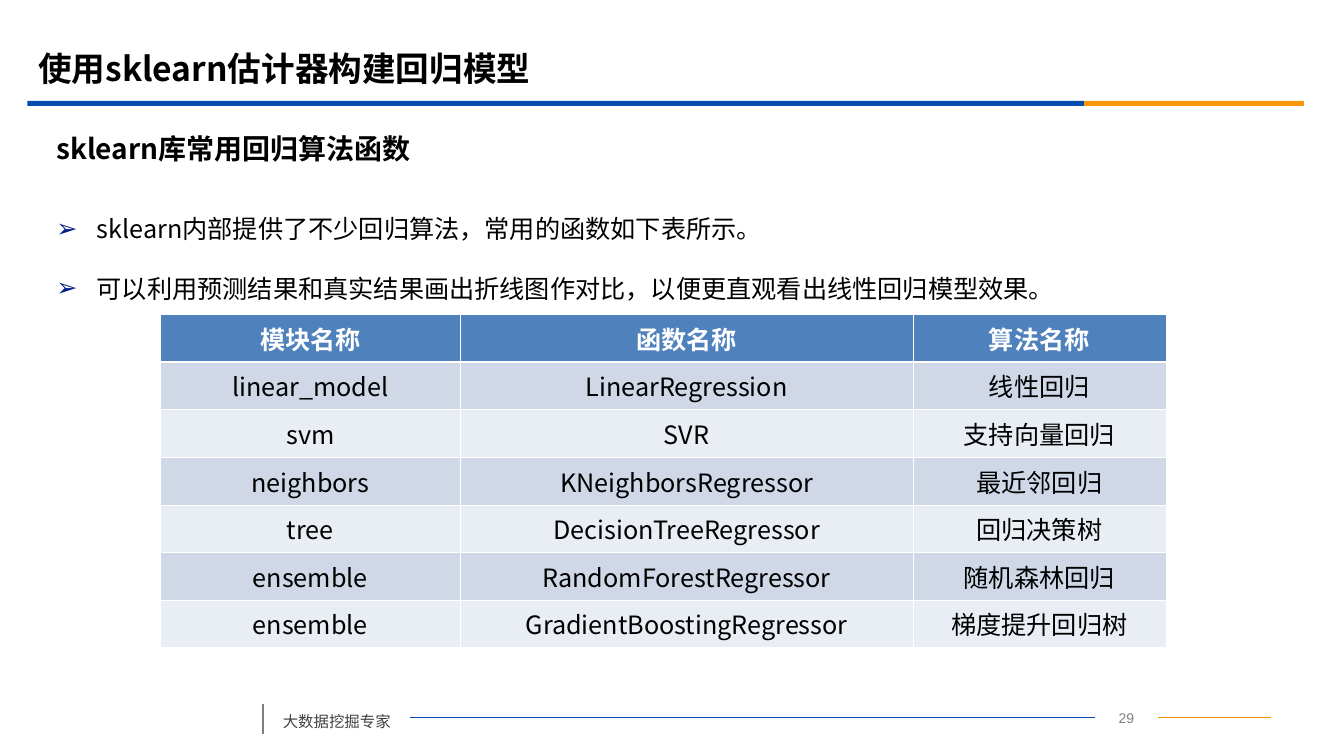
from typing import NamedTuple

from lxml.etree import SubElement as Sub
from pptx import Presentation
from pptx.dml.color import RGBColor
from pptx.enum.shapes import MSO_CONNECTOR as Link, MSO_SHAPE as Kind
from pptx.enum.text import MSO_ANCHOR as Anchor, MSO_AUTO_SIZE as Fit, PP_ALIGN as Align
from pptx.oxml.ns import qn
from pptx.util import Cm, Pt

SANS = "Noto Sans CJK SC"
BLUE, GOLD, GREY, BLACK, WHITE = "064BB2", "F19500", "7F7F7F", "000000", "FFFFFF"


class Box(NamedTuple):
    """Place on the slide in centimetres."""
    x: float
    y: float
    w: float
    h: float

    def emu(self) -> list:
        return [Cm(v) for v in self]


class Bar(NamedTuple):
    box: Box
    color: str


class Rule(NamedTuple):
    start: tuple
    end: tuple
    color: str
    width: float
    head: object = None
    tail: object = None


BARS = [Bar(Box(0.69, 2.54, 26.64, 0.13), BLUE),
        Bar(Box(27.33, 2.54, 5.54, 0.13), "FB9708")]
POINTS = ["sklearn内部提供了不少回归算法，常用的函数如下表所示。",
          "可以利用预测结果和真实结果画出折线图作对比，以便更直观看出线性回归模型效果。"]
ROWS = [("模块名称", "函数名称", "算法名称"),
        ("linear_model", "LinearRegression", "线性回归"),
        ("svm", "SVR", "支持向量回归"),
        ("neighbors", "KNeighborsRegressor", "最近邻回归"),
        ("tree", "DecisionTreeRegressor", "回归决策树"),
        ("ensemble", "RandomForestRegressor", "随机森林回归"),
        ("ensemble", "GradientBoostingRegressor", "梯度提升回归树")]
WIDTHS = [7.57, 11.4, 6.38]
ROW_H = 1.2


def rgb(code: str) -> RGBColor:
    return RGBColor.from_string(code)


def add_bullet(para) -> None:
    props = para._p.get_or_add_pPr()
    props.set("marL", str(Cm(1.02)))
    props.set("indent", str(-Cm(1.02)))
    Sub(Sub(props, qn("a:buClr")), qn("a:srgbClr"), val="032089")
    Sub(props, qn("a:buFont"), typeface="Arial")
    Sub(props, qn("a:buChar"), char="➢")


def write(frame, *lines: str, size: float, color: str = BLACK, bold: bool = False,
          font: str = SANS, align=Align.LEFT, anchor=Anchor.TOP,
          spacing: float = 1, before: float = 0, bullet: bool = False) -> None:
    frame.word_wrap = True
    frame.vertical_anchor = anchor
    for i, line in enumerate(lines):
        para = frame.add_paragraph() if i else frame.paragraphs[0]
        para.alignment = align
        para.line_spacing = spacing
        para.space_before = Pt(before if i else 0)
        if bullet:
            add_bullet(para)
        run = para.add_run()
        run.text = line
        face = run.font
        face.size, face.bold, face.name = Pt(size), bold, font
        face.color.rgb = rgb(color)
        Sub(face._element, qn("a:ea"), typeface=font)


def add_text(slide, box: Box, *lines: str, **style):
    shape = slide.shapes.add_textbox(*box.emu())
    write(shape.text_frame, *lines, **style)
    return shape


def add_bar(slide, bar: Bar) -> None:
    shape = slide.shapes.add_shape(Kind.RECTANGLE, *bar.box.emu())
    shape.shadow.inherit = False
    shape.fill.solid()
    shape.fill.fore_color.rgb = rgb(bar.color)
    shape.line.fill.background()


def add_rule(slide, rule: Rule) -> None:
    """Draw a line; head and tail are boxes joined at their right and left sides."""
    ends = [Cm(v) for v in rule.start + rule.end]
    line = slide.shapes.add_connector(Link.STRAIGHT, *ends)
    if rule.head is not None:
        line.begin_connect(rule.head, 3)
    if rule.tail is not None:
        line.end_connect(rule.tail, 1)
    line.line.color.rgb = rgb(rule.color)
    line.line.width = Pt(rule.width)
    Sub(line._element.spPr, qn("a:effectLst"))


def add_edges(cell, top: float, bottom: float) -> None:
    """Give a cell white borders."""
    props = cell._tc.get_or_add_tcPr()
    for side, width in zip("LRTB", (0.45, 0.45, top, bottom)):
        edge = Sub(props, qn("a:ln" + side), w=str(Pt(width)))
        Sub(Sub(edge, qn("a:solidFill")), qn("a:srgbClr"), val=WHITE)


def add_grid(slide) -> None:
    box = Box(4.04, 7.92, sum(WIDTHS), ROW_H * len(ROWS))
    grid = slide.shapes.add_table(len(ROWS), len(WIDTHS), *box.emu()).table
    for col, width in zip(grid.columns, WIDTHS):
        col.width = Cm(width)
    for r, words in enumerate(ROWS):
        grid.rows[r].height = Cm(ROW_H)
        head = r == 0
        fill = "4F81BD" if head else ("E9EDF4", "D0D8E8")[r % 2]
        for c, word in enumerate(words):
            cell = grid.cell(r, c)
            add_edges(cell, 1.47 if r == 1 else 0.45, 1.47 if head else 0.45)
            cell.fill.solid()
            cell.fill.fore_color.rgb = rgb(fill)
            cell.margin_left = cell.margin_right = Cm(0.1)
            write(cell.text_frame, word, size=18, bold=head,
                  color=WHITE if head else BLACK, align=Align.CENTER)
            cell.vertical_anchor = Anchor.MIDDLE


def add_title(slide) -> None:
    title = slide.shapes.title
    title.left, title.top, title.width, title.height = Box(0.71, 0.99, 30.48, 1.47).emu()
    title.text_frame.auto_size = Fit.NONE
    write(title.text_frame, "使用sklearn估计器构建回归模型", size=24, bold=True,
          anchor=Anchor.MIDDLE)


def add_footer(slide) -> None:
    page = add_text(slide, Box(27.61, 17.75, 1.57, 0.64), "29", size=10, color=GREY,
                    font="Arial", align=Align.CENTER)
    motto = add_text(slide, Box(6.88, 17.59, 3.45, 0.96), "大数据挖掘专家", size=11,
                     color="404040", spacing=1.5)
    mid = 18.07
    for rule in (Rule((10.33, mid), (27.61, mid), BLUE, 0.75, motto, page),
                 Rule((29.18, mid), (32.03, mid), GOLD, 0.75, page),
                 Rule((6.63, 17.73), (6.63, 18.49), GREY, 1.25)):
        add_rule(slide, rule)


def main() -> None:
    deck = Presentation()
    deck.slide_width, deck.slide_height = Cm(33.88), Cm(19.05)
    slide = deck.slides.add_slide(deck.slide_layouts[5])
    add_title(slide)
    for bar in BARS:
        add_bar(slide, bar)
    add_footer(slide)
    add_text(slide, Box(1.17, 3.15, 30.86, 1.19), "sklearn库常用回归算法函数",
             size=20, bold=True, anchor=Anchor.MIDDLE)
    add_text(slide, Box(1.17, 4.88, 30.86, 12.14), *POINTS, size=18, spacing=1.5,
             before=10, bullet=True)
    add_grid(slide)
    deck.save("out.pptx")


if __name__ == "__main__":
    main()
